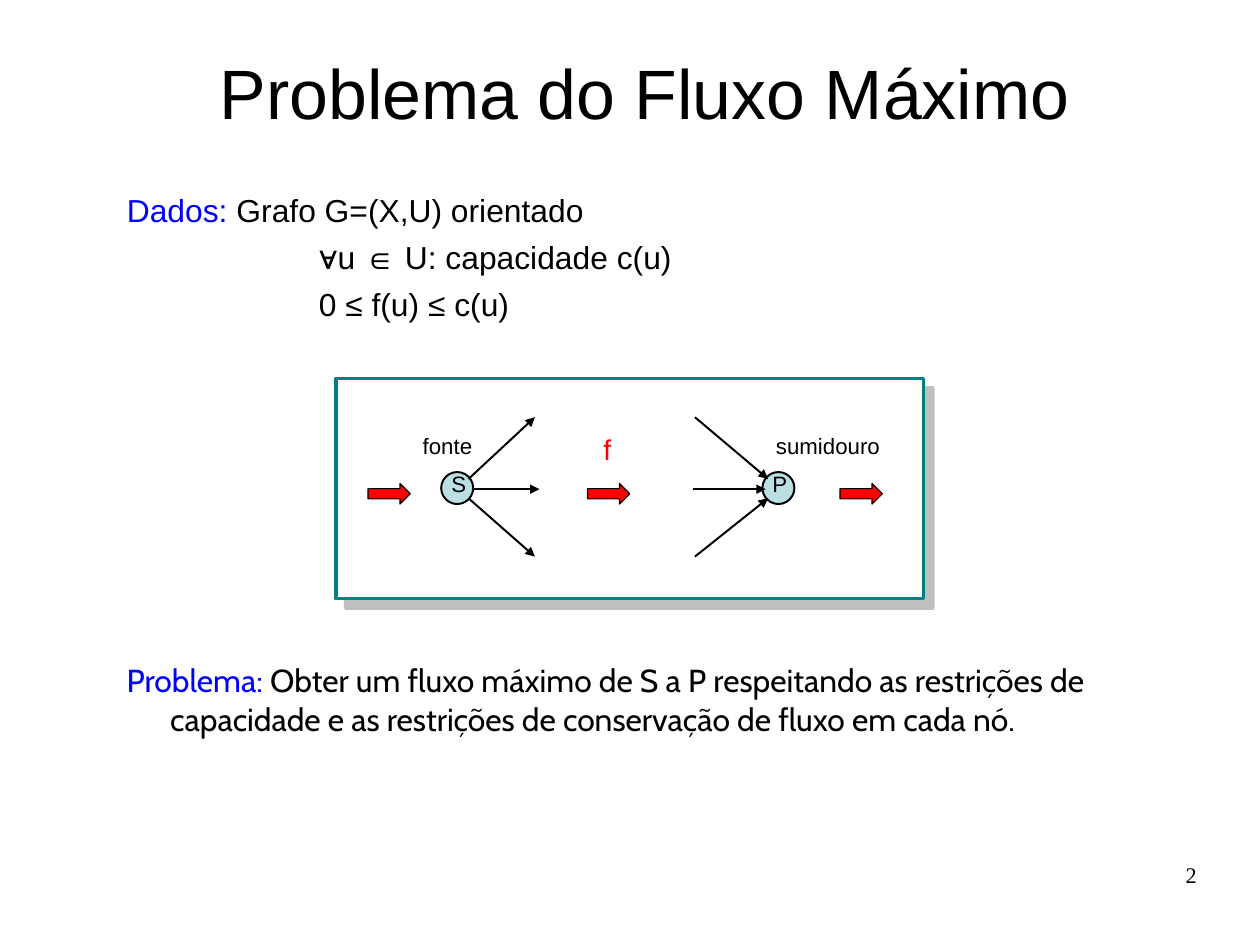
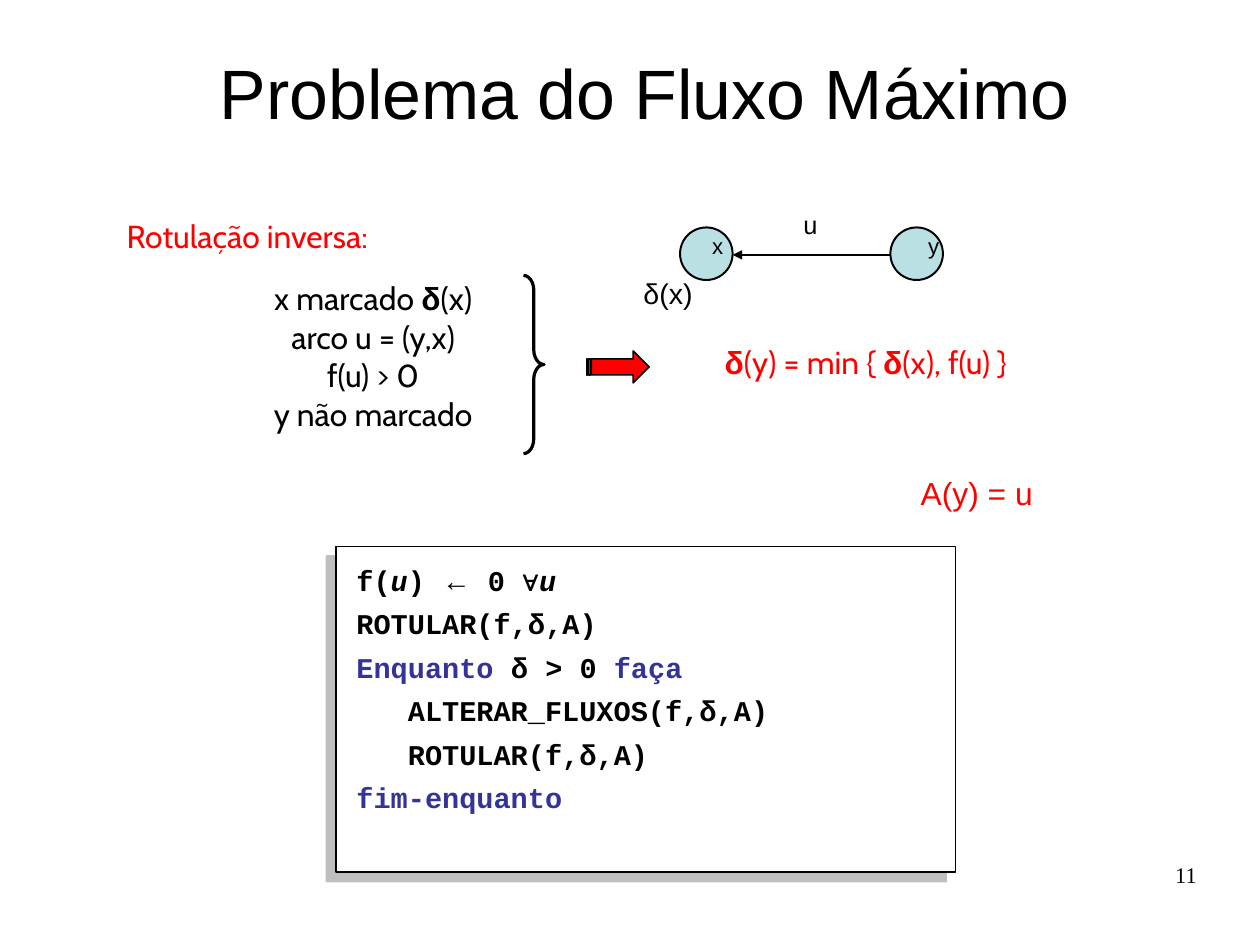
"""Build two slides on the maximum flow problem."""
import pptx
import pptx.dml.color
import pptx.enum.shapes
import pptx.enum.text
import pptx.oxml
import pptx.oxml.ns
import pptx.util
from dataclasses import dataclass

Inches = pptx.util.Inches
Pt = pptx.util.Pt
Kind = pptx.enum.shapes.MSO_SHAPE
Align = pptx.enum.text.PP_ALIGN
Anchor = pptx.enum.text.MSO_ANCHOR
qn = pptx.oxml.ns.qn


@dataclass(frozen=True)
class Theme:
    black: str = "000000"
    white: str = "FFFFFF"
    blue: str = "0000FF"
    red: str = "FF0000"
    teal: str = "008080"
    pale: str = "BBE0E3"
    navy: str = "333399"
    gray: str = "808080"
    sans: str = "Arial"
    text: str = "Cabin"
    code: str = "Courier New"
    serif: str = "Times New Roman"
    head: int = 44
    body: int = 20
    note: int = 18
    mid: int = 16
    small: int = 14


T = Theme()
TITLE = "Problema do Fluxo Máximo"
HANG = (0.38, -0.38)
INSET = (0.1, 0.05, 0.1, 0.05)

SANS = {"name": T.sans, "size": T.body, "color": T.black}
CABIN = SANS | {"name": T.text}
CODE = {"name": T.code, "size": T.note, "color": T.black, "bold": True}
SMALL = SANS | {"size": T.small}
BLUE = {"color": T.blue}
NAVY = {"color": T.navy}
DELTA = ("δ", {"name": T.sans, "bold": True})

DATA = [
    [("Dados:", BLUE), " Grafo G=(X,U) orientado"],
    ["∀u ∈ U: capacidade c(u)"],
    ["0 ≤ f(u) ≤ c(u)"],
]
GOAL = [[("Problema: ", BLUE),
         "Obter um fluxo máximo de S a P respeitando as restrições de "
         "capacidade e as restrições de conservação de fluxo em cada nó."]]
RULES = [["x marcado ", DELTA, "(x)"], ["arco u = (y,x)"], ["f(u) > 0"],
         ["y não marcado"]]
RESULT = [[DELTA, "(y) = min { ", DELTA, "(x), f(u) }"]]
STEPS = [
    ["f(", ("u", {"italic": True}), ") ", ("←", {"name": T.sans}), " 0 ",
     ("∀", {"name": T.sans}), ("u", {"italic": True})],
    ["ROTULAR(f,", DELTA, ",A)"],
    [("Enquanto ", NAVY), DELTA, " > 0 ", ("faça", NAVY)],
    ["   ALTERAR_FLUXOS(f,", DELTA, ",A)"],
    ["   ROTULAR(f,", DELTA, ",A)"],
    [("fim-enquanto", NAVY)],
]

NODES = [(3.86, "S"), (6.67, "P")]
FLOWS = [3.22, 5.14, 7.35]
RAYS = [
    (4.19, 3.65, (4.1, 4.68), (6.08, 6.72)),
    (4.28, 4.28, (4.13, 4.72), (6.06, 6.7)),
    (4.36, 4.87, (4.1, 4.68), (6.08, 6.72)),
]
NAMES = [((3.6, 3.77, 0.7, 0.31), "fonte"),
         ((6.69, 3.77, 1.22, 0.31), "sumidouro")]
ENDS = [(5.95, (6.05, 2.02, 0.41, 0.31), "x", 0.18),
        (7.79, (7.9, 2.02, 0.45, 0.31), "y", 0.22)]


def rgb(code):
    return pptx.dml.color.RGBColor.from_string(code)


def assign(item, values):
    for key, value in values.items():
        setattr(item, key, value)


def place(shape, at):
    assign(shape, dict(zip(("left", "top", "width", "height"), map(Inches, at))))


def write(shape, paras, base, inset=INSET, leads=(1.01,), gap=0,
          align=Align.LEFT, dents=((0, 0),), anchor=Anchor.TOP):
    frame = shape.text_frame
    sides = ("margin_left", "margin_top", "margin_right", "margin_bottom")
    assign(frame, dict(zip(sides, map(Inches, inset))) | {
        "word_wrap": True, "vertical_anchor": anchor,
        "auto_size": pptx.enum.text.MSO_AUTO_SIZE.NONE})
    for at, runs in enumerate(paras):
        para = frame.add_paragraph() if at else frame.paragraphs[0]
        left, first = dents[min(at, len(dents) - 1)]
        props = para._p.get_or_add_pPr()
        props.set("marL", str(Inches(left)))
        props.set("indent", str(Inches(first)))
        props.append(pptx.oxml.parse_xml(
            f'<a:buNone {pptx.oxml.ns.nsdecls("a")}/>'))
        assign(para, {"alignment": align,
                      "line_spacing": leads[min(at, len(leads) - 1)],
                      "space_before": Pt(gap if at else 0)})
        for piece in runs:
            words, extra = (piece, {}) if isinstance(piece, str) else piece
            look = base | extra
            run = para.add_run()
            run.text = words
            run.font.color.rgb = rgb(look["color"])
            assign(run.font, {
                "name": look["name"], "size": Pt(look["size"]),
                "bold": look.get("bold", False),
                "italic": look.get("italic", False)})


def box(slide, at, paras, base, **form):
    shape = slide.shapes.add_textbox(*map(Inches, at))
    write(shape, paras, base, **form)


def label(slide, at, words, base=SMALL, left=0.1, top=0.11, **form):
    box(slide, at, [[words]], base, inset=(left, top, 0.1, 0.05),
        **({"leads": (0.54,)} | form))


def draw(slide, kind, at, fill, line, width, bends=()):
    shape = slide.shapes.add_shape(kind, *map(Inches, at))
    shape.shadow.inherit = False
    if fill:
        shape.fill.solid()
        shape.fill.fore_color.rgb = rgb(fill)
    else:
        shape.fill.background()
    shape.line.color.rgb = rgb(line)
    shape.line.width = Pt(width)
    for spot, bend in enumerate(bends):
        shape.adjustments[spot] = bend
    return shape


def panel(slide, at, line, width, angle):
    shape = draw(slide, Kind.RECTANGLE, at, T.white, line, width)
    shape._element.spPr.find(qn("a:effectLst")).append(pptx.oxml.parse_xml(
        f'<a:outerShdw {pptx.oxml.ns.nsdecls("a")} dist="{Pt(8.5)}" '
        f'dir="{angle * 60000}" algn="ctr" rotWithShape="0">'
        f'<a:srgbClr val="{T.gray}"><a:alpha val="50000"/></a:srgbClr>'
        '</a:outerShdw>'))


def arrow(slide, start, end):
    link = slide.shapes.add_connector(
        pptx.enum.shapes.MSO_CONNECTOR.STRAIGHT, *map(Inches, start + end))
    link.line.color.rgb = rgb(T.black)
    link.line.width = Pt(1.25)
    space = pptx.oxml.ns.nsdecls("a")
    link.line._get_or_add_ln().append(
        pptx.oxml.parse_xml(f'<a:tailEnd {space} type="triangle"/>'))
    link._element.spPr.append(pptx.oxml.parse_xml(f'<a:effectLst {space}/>'))


def node(slide, left, top, size):
    draw(slide, Kind.OVAL, (left, top, size, size), T.pale, T.black, 1.25)


def start(deck, layout, number):
    slide = deck.slides.add_slide(deck.slide_layouts[layout])
    title = slide.shapes.title
    place(title, (1.74, 0, 7.81, 1.68))
    write(title, [[TITLE]], SANS | {"size": T.head}, leads=(0.93,),
          align=Align.CENTER, anchor=Anchor.MIDDLE)
    box(slide, (7.9, 7.53, 2.57, 0.57), [[number]], SMALL | {"name": T.serif},
        inset=(0, 0.02, 0, 0), leads=(0.95,), align=Align.RIGHT)
    return slide


def define(deck):
    slide = start(deck, 1, "2")
    body = slide.placeholders[1]
    place(body, (1.01, 1.65, 9.37, 1.56))
    write(body, DATA, SANS, leads=(0.93, 1.01), gap=5, dents=(HANG, (1.68, 0)))
    box(slide, (1.01, 5.69, 8.91, 1.38), GOAL, CABIN,
        inset=(0.1, 0.09, 0.1, 0.09), dents=(HANG,))
    panel(slide, (2.94, 3.31, 5.14, 1.93), T.teal, 2, 45)
    for left, name in NODES:
        node(slide, left, 4.13, 0.28)
        label(slide, (left - 0.01, 4.1, 0.36, 0.31), name)
    for near, far, out, back in RAYS:
        arrow(slide, (out[0], near), (out[1], far))
        arrow(slide, (back[0], far), (back[1], near))
    for left in FLOWS:
        draw(slide, Kind.RIGHT_ARROW, (left, 4.23, 0.37, 0.18), T.red,
             T.black, 0.75)
    for at, name in NAMES:
        label(slide, at, name)
    label(slide, (5.18, 3.77, 0.29, 0.37), "f",
          SANS | {"size": T.note, "color": T.red}, top=0.13)


def invert(deck):
    slide = start(deck, 5, "11")
    red = {"color": T.red}
    box(slide, (1.01, 1.84, 8.82, 0.55), [["Rotulação inversa:"]],
        CABIN | red, dents=(HANG,))
    box(slide, (2.13, 2.39, 2.27, 1.64), RULES, CABIN, align=Align.CENTER)
    draw(slide, Kind.RIGHT_BRACE, (4.58, 2.41, 0.18, 1.56), None, T.black, 2,
         (0.72, 0.5))
    box(slide, (6.16, 2.94, 3.57, 0.49), RESULT, CABIN | red,
        inset=(0.18, 0.05, 0.1, 0.05), leads=(1.02,))
    draw(slide, Kind.STRIPED_RIGHT_ARROW, (5.13, 3.07, 0.55, 0.28), T.red,
         T.black, 1)
    for left, at, name, inset in ENDS:
        node(slide, left, 1.99, 0.46)
        label(slide, at, name, left=inset)
    arrow(slide, (7.79, 2.23), (6.41, 2.23))
    label(slide, (6.93, 1.82, 0.35, 0.34), "u", SANS | {"size": T.mid},
          top=0.12)
    label(slide, (5.51, 2.37, 0.67, 0.45), "δ(x)", SANS | {"size": T.note},
          top=0.04, leads=(1.02,), align=Align.CENTER)
    label(slide, (7.95, 4.13, 1.19, 0.4), "A(y) = u", SANS | red, top=0.15,
          align=Align.CENTER)
    panel(slide, (2.94, 4.78, 5.42, 2.85), T.black, 1, 135)
    box(slide, (3.02, 4.87, 5.18, 2.37), STEPS, CODE,
        inset=(0.1, 0.1, 0.1, 0.05), leads=(0.85,), gap=9)


def main():
    deck = pptx.Presentation()
    deck.slide_width = pptx.util.Cm(28)
    deck.slide_height = pptx.util.Cm(21)
    deck.element.sldSz.attrib.pop("type", None)
    define(deck)
    invert(deck)
    deck.save("out.pptx")


if __name__ == "__main__":
    main()
